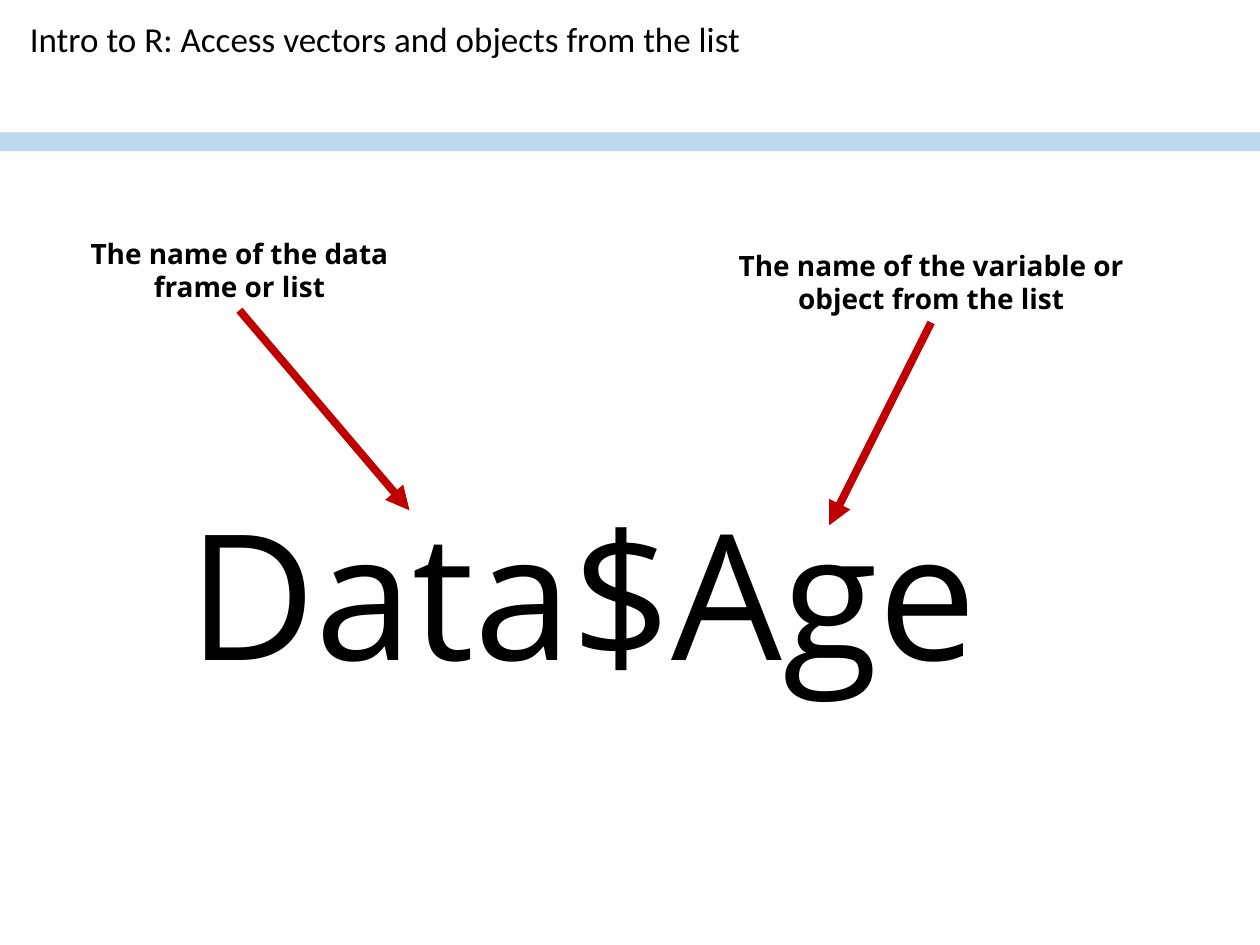
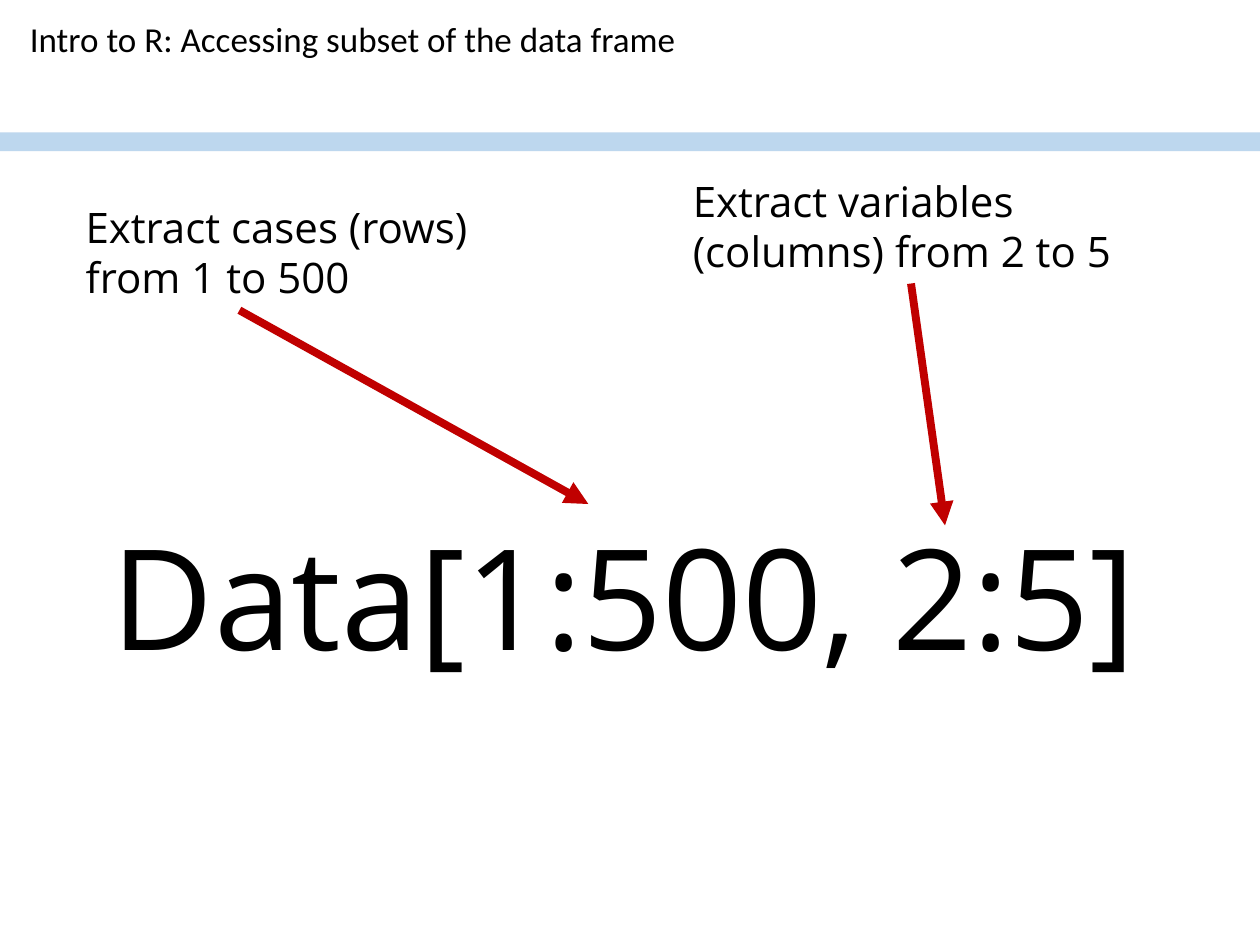
from lxml import etree
from pptx import Presentation
from pptx.dml.color import RGBColor
from pptx.enum.shapes import MSO_CONNECTOR, MSO_SHAPE
from pptx.enum.text import PP_ALIGN
from pptx.oxml.ns import qn
from pptx.util import Pt

LEFT, CENTER = PP_ALIGN.LEFT, PP_ALIGN.CENTER
RECTANGLE, STRAIGHT = MSO_SHAPE.RECTANGLE, MSO_CONNECTOR.STRAIGHT
COLORS = {"text": "000000", "band": "BDD7EE", "arrow": "C00000"}
TITLE_FONT, BODY_FONT = "Calibri", "Open Sans"
WIDTH, HEIGHT = 720, 540


def add_text(s, text, box, size, font=BODY_FONT, bold=False, align=LEFT, spacing=1.0):
    tf = s.shapes.add_textbox(*map(Pt, box)).text_frame
    tf.word_wrap = True
    p = tf.paragraphs[0]
    p.alignment = align
    p.line_spacing = spacing
    r = p.add_run()
    r.text = text
    r.font.name = font
    r.font.size = Pt(size)
    r.font.bold = bold
    r.font.color.rgb = RGBColor.from_string(COLORS["text"])


def add_arrow(s, start, end):
    arrow = s.shapes.add_connector(STRAIGHT, *map(Pt, start + end))
    arrow.line.color.rgb = RGBColor.from_string(COLORS["arrow"])
    arrow.line.width = Pt(4.5)
    etree.SubElement(arrow.line._get_or_add_ln(), qn("a:tailEnd"), type="triangle")
    etree.SubElement(arrow._element.spPr, qn("a:effectLst"))


# Each label: text, box, arrow start, arrow end
SLIDES = [
    {
        "title": "Intro to R: Access vectors and objects from the list",
        "code": ("Data$Age", (41.8, 273.6, 581.8, 128.2)),
        "code_format": {"size": 100, "align": CENTER},
        "label_format": {"size": 16, "bold": True, "align": CENTER},
        "labels": [
            ("The name of the data frame or list",
             (18.7, 131.5, 236.2, 46), (136.8, 177.3), (234, 291.6)),
            ("The name of the variable or object from the list",
             (414, 138.2, 236.2, 46), (532.1, 184.3), (473.8, 300.2)),
        ],
    },
    {
        "title": "Intro to R: Accessing subset of the data frame",
        "code": ("Data[1:500, 2:5]", (56.9, 288, 606.2, 104.4)),
        "code_format": {"size": 80},
        "label_format": {"size": 24},
        "labels": [
            ("Extract cases (rows) from 1 to 500",
             (41.8, 111.6, 246.2, 65.5), (136.8, 177.3), (336.2, 288)),
            ("Extract variables (columns) from 2 to 5",
             (388.8, 96.5, 264.2, 65.5), (520.6, 162), (540, 300.2)),
        ],
    },
]

prs = Presentation()
prs.slide_width, prs.slide_height = Pt(WIDTH), Pt(HEIGHT)

for content in SLIDES:
    s = prs.slides.add_slide(prs.slide_layouts[6])

    band = s.shapes.add_shape(RECTANGLE, Pt(0), Pt(75.6), Pt(WIDTH), Pt(10.8))
    band.shadow.inherit = False
    band.fill.solid()
    band.fill.fore_color.rgb = RGBColor.from_string(COLORS["band"])
    band.line.fill.background()

    add_text(s, content["title"], (10, 9.4, 693.4, 57.6), 20, font=TITLE_FONT, spacing=0.9)
    add_text(s, *content["code"], **content["code_format"])
    for label, box, start, end in content["labels"]:
        add_arrow(s, start, end)
        add_text(s, label, box, **content["label_format"])

prs.save("out.pptx")
